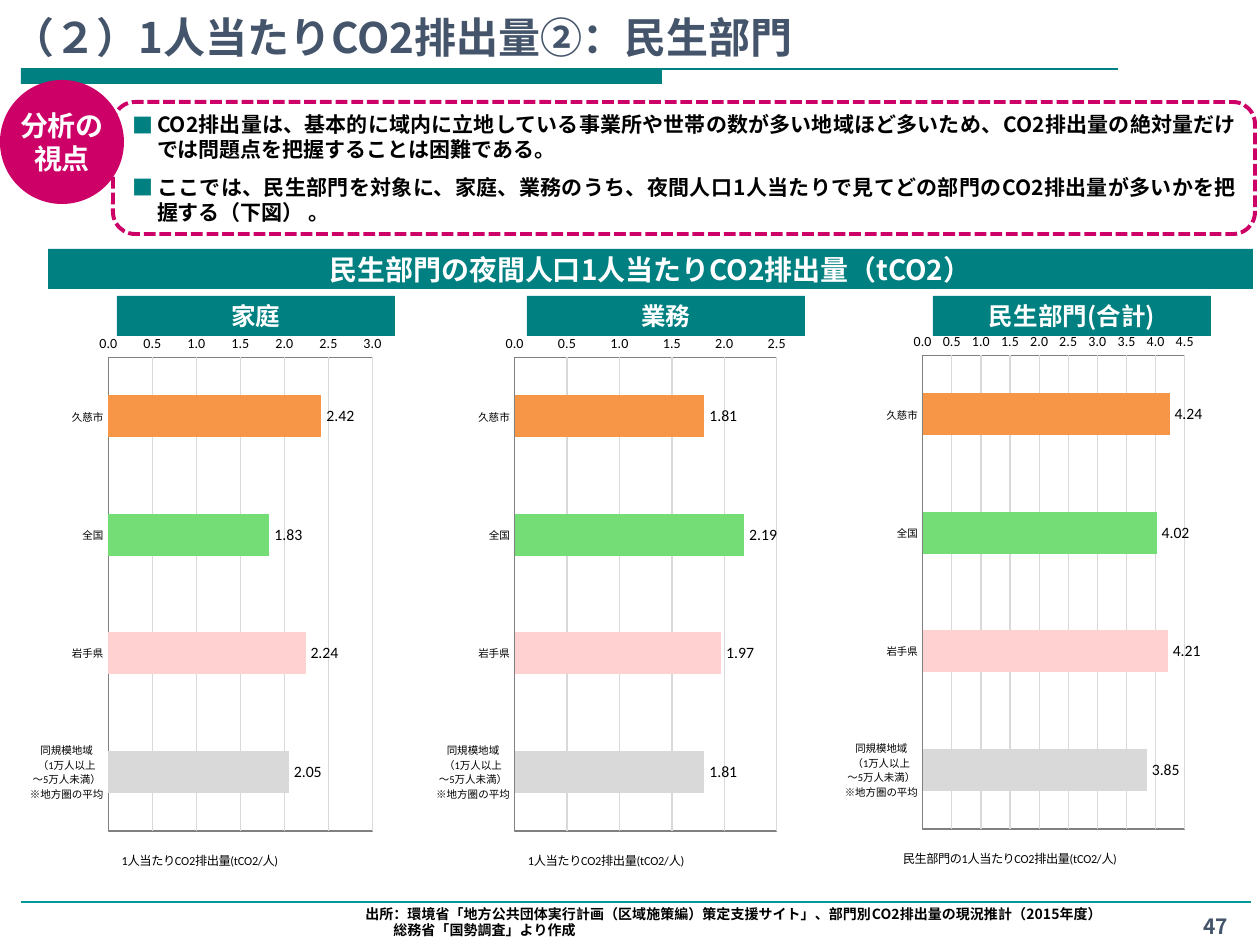
"""Build the slide on per-capita CO2 emissions of the residential and commercial sectors."""
from dataclasses import dataclass

from lxml.etree import SubElement
from pptx import Presentation
from pptx.chart.data import CategoryChartData
from pptx.dml.color import RGBColor
from pptx.enum.chart import XL_CHART_TYPE, XL_LABEL_POSITION, XL_TICK_MARK
from pptx.enum.dml import MSO_LINE
from pptx.enum.shapes import MSO_CONNECTOR, MSO_SHAPE
from pptx.enum.text import MSO_ANCHOR, MSO_AUTO_SIZE, PP_ALIGN
from pptx.oxml import parse_xml
from pptx.oxml.ns import nsdecls, qn
from pptx.util import Pt

SCALE = 7257


@dataclass(frozen=True)
class Theme:
    font: str = "Noto Sans CJK JP"
    chart_font: str = "Calibri"
    teal: str = "008080"
    rule: str = "009999"
    pink: str = "CC0066"
    navy: str = "44546A"
    black: str = "000000"
    white: str = "FFFFFF"
    axis: str = "808080"
    grid: str = "D9D9D9"
    bars: tuple = ("F79646", "75DD75", "FFD1D1", "D9D9D9")
    title: int = 24
    banner: int = 16
    heading: int = 14
    body: int = 12
    source: int = 8
    labels: int = 9
    ticks: int = 8
    axis_title: int = 7
    categories: int = 6


theme = Theme()


def write(frame, texts, size, color, align=PP_ALIGN.CENTER, **settings):
    """Fill a text frame with bold paragraphs in the slide font."""
    settings = {"word_wrap": True, "auto_size": MSO_AUTO_SIZE.NONE,
                "vertical_anchor": MSO_ANCHOR.MIDDLE} | settings
    for name, value in settings.items():
        setattr(frame, name, value)
    for index, text in enumerate(texts):
        para = frame.add_paragraph() if index else frame.paragraphs[0]
        para.text = text
        para.alignment = align
        for span in para.runs:
            span.font.color.rgb = RGBColor.from_string(color)
            for name, value in {"size": Pt(size), "bold": True, "name": theme.font}.items():
                setattr(span.font, name, value)
            SubElement(span.font._element, qn("a:ea"), typeface=theme.font)


def pin(parent, index, **values):
    """Give a chart part a manual layout."""
    for old in parent.findall(qn("c:layout")):
        parent.remove(old)
    layout = parse_xml(f"<c:layout {nsdecls('c')}><c:manualLayout/></c:layout>")
    for name, value in values.items():
        SubElement(layout[0], qn(f"c:{name}"), val=str(value))
    parent.insert(index, layout)


deck = Presentation()
deck.slide_width, deck.slide_height = 1260 * SCALE, 945 * SCALE
page = deck.slides.add_slide(deck.slide_layouts[1])

for start, end, y, color in ((21, 1118, 69, theme.teal), (21, 1251, 902, theme.rule)):
    line = page.shapes.add_connector(MSO_CONNECTOR.STRAIGHT, *(v * SCALE for v in (start, y, end, y)))
    line.line.color.rgb = RGBColor.from_string(color)
    line.line.width = Pt(0.75)
    SubElement(line._element.spPr, qn("a:effectLst"))

title, points = page.placeholders
for holder, place in ((title, (0, 0, 1095, 68)), (points, (113, 102, 1142, 132))):
    for name, value in zip(("left", "top", "width", "height"), place):
        setattr(holder, name, value * SCALE)
write(title.text_frame, ["（２）1人当たりCO2排出量②：民生部門"], theme.title, theme.navy,
      PP_ALIGN.LEFT, vertical_anchor=MSO_ANCHOR.BOTTOM)

points._element.spPr.append(parse_xml(
    f'<a:prstGeom {nsdecls("a")} prst="roundRect"><a:avLst/></a:prstGeom>'))
points.line.color.rgb = RGBColor.from_string(theme.pink)
points.line.width = Pt(2.25)
points.line.dash_style = MSO_LINE.SQUARE_DOT
write(points.text_frame, [
    "CO2排出量は、基本的に域内に立地している事業所や世帯の数が多い地域ほど多いため、CO2排出量の絶対量だけでは問題点を把握することは困難である。",
    "ここでは、民生部門を対象に、家庭、業務のうち、夜間人口1人当たりで見てどの部門のCO2排出量が多いかを把握する（下図） 。",
], theme.body, theme.black, PP_ALIGN.JUSTIFY)
for index, para in enumerate(points.text_frame.paragraphs):
    para.space_before, para.space_after = Pt(3 if index else 0), Pt(4)
    marks = para._p.get_or_add_pPr()
    marks.set("marL", str(25 * SCALE))
    marks.set("indent", str(-25 * SCALE))
    SubElement(SubElement(marks, qn("a:buClr")), qn("a:srgbClr"), val=theme.teal)
    SubElement(marks, qn("a:buFont"), typeface=theme.font)
    SubElement(marks, qn("a:buChar"), char="■")

categories = ["久慈市", "全国", "岩手県", "同規模地域\n（1万人以上\n～5万人未満）\n※地方圏の平均"]
per_person = "1人当たりCO2排出量(tCO2/人)"
sectors = (
    (24, 323, 367, (2.42, 1.83, 2.24, 2.05), 3, per_person, 0.26),
    (431, 323, 364, (1.81, 2.19, 1.97, 1.81), 2.5, per_person, 0.26),
    (839, 321, 367, (4.24, 4.02, 4.21, 3.85), 4.5, "民生部門の" + per_person, 0.17),
)
for left, top, width, values, maximum, caption, caption_x in sectors:
    data = CategoryChartData()
    data.categories = categories
    data.add_series("Series 1", values)
    chart = page.shapes.add_chart(XL_CHART_TYPE.BAR_CLUSTERED, left * SCALE, top * SCALE,
                                  width * SCALE, 571 * SCALE, data).chart
    chart.has_title = chart.has_legend = False
    category_axis, value_axis, plot = chart.category_axis, chart.value_axis, chart.plots[0]
    plot.gap_width, plot.vary_by_categories, plot.has_data_labels = 182, False, True
    labels = plot.data_labels
    category_axis.reverse_order = True
    for name, value in {"minimum_scale": 0, "maximum_scale": maximum, "major_unit": 0.5,
                        "has_major_gridlines": True}.items():
        setattr(value_axis, name, value)
    for axis in (category_axis, value_axis):
        axis.major_tick_mark = axis.minor_tick_mark = XL_TICK_MARK.NONE
    value_axis.format.line.fill.background()
    for stroke, color in ((category_axis.format.line, theme.axis),
                          (value_axis.major_gridlines.format.line, theme.grid)):
        stroke.color.rgb = RGBColor.from_string(color)
        stroke.width = Pt(0.75)
    for part, code in ((value_axis.tick_labels, r"#,##0.0;[Red]\-#,##0.0"),
                       (labels, r"#,##0.00_);[Red]\(#,##0.00\)")):
        part.number_format, part.number_format_is_linked = code, False
    labels.show_value, labels.position = True, XL_LABEL_POSITION.OUTSIDE_END
    value_axis.axis_title.text_frame.text = caption
    span = value_axis.axis_title.text_frame.paragraphs[0].runs[0]
    for font, size in ((chart.font, 10), (category_axis.tick_labels.font, theme.categories),
                       (value_axis.tick_labels.font, theme.ticks), (labels.font, theme.labels),
                       (span.font, theme.axis_title)):
        font.color.rgb = RGBColor.from_string(theme.black)
        for name, value in {"size": Pt(size), "bold": False, "name": theme.chart_font}.items():
            setattr(font, name, value)
    for index, color in enumerate(theme.bars):
        fill = plot.series[0].points[index].format.fill
        fill.solid()
        fill.fore_color.rgb = RGBColor.from_string(color)
    pin(value_axis.axis_title._element, 1, xMode="edge", yMode="edge", x=caption_x, y=0.92)
    area = chart._chartSpace.chart.plotArea
    pin(area, 0, layoutTarget="inner", xMode="edge", yMode="edge", x=0.23, y=0.06, w=0.72, h=0.83)
    area.append(parse_xml(
        f'<c:spPr {nsdecls("c", "a")}><a:noFill/><a:ln w="9525"><a:solidFill>'
        f'<a:srgbClr val="{theme.axis}"/></a:solidFill></a:ln></c:spPr>'))

tight = {"word_wrap": False, "margin_left": 5 * SCALE, "margin_right": 5 * SCALE}
blocks = (
    (MSO_SHAPE.RECTANGLE, (21, 69, 641, 15), theme.teal, "", theme.body, {}),
    (MSO_SHAPE.OVAL, (0, 80, 124, 124), theme.pink, "分析の\n視点", theme.banner, tight),
    (MSO_SHAPE.RECTANGLE, (48, 249, 1205, 40), theme.teal,
     "民生部門の夜間人口1人当たりCO2排出量（tCO2）", theme.banner, {}),
    *((MSO_SHAPE.RECTANGLE, (left, 296, 278, 40), theme.teal, heading, theme.heading, {})
      for left, heading in ((117, "家庭"), (527, "業務"), (933, "民生部門(合計)"))),
)
for kind, place, color, text, size, settings in blocks:
    box = page.shapes.add_shape(kind, *(v * SCALE for v in place))
    box.shadow.inherit = False
    box.fill.solid()
    box.fill.fore_color.rgb = RGBColor.from_string(color)
    box.line.fill.background()
    if text:
        write(box.text_frame, [text], size, theme.white, **settings)

number = page.shapes.add_textbox(*(v * SCALE for v in (1171, 907, 89, 35)))
write(number.text_frame, ["47"], theme.body, theme.navy, vertical_anchor=MSO_ANCHOR.TOP)

source = page.shapes.add_textbox(*(v * SCALE for v in (353, 898, 827, 47)))
write(source.text_frame, [
    "出所：環境省「地方公共団体実行計画（区域施策編）策定支援サイト」、部門別CO2排出量の現況推計（2015年度）",
    "総務省「国勢調査」より作成",
], theme.source, theme.black, PP_ALIGN.JUSTIFY, vertical_anchor=MSO_ANCHOR.BOTTOM)
for para, indent in zip(source.text_frame.paragraphs, (-28, 0)):
    marks = para._p.get_or_add_pPr()
    marks.set("marL", str(28 * SCALE))
    marks.set("indent", str(indent * SCALE))

deck.save("out.pptx")
